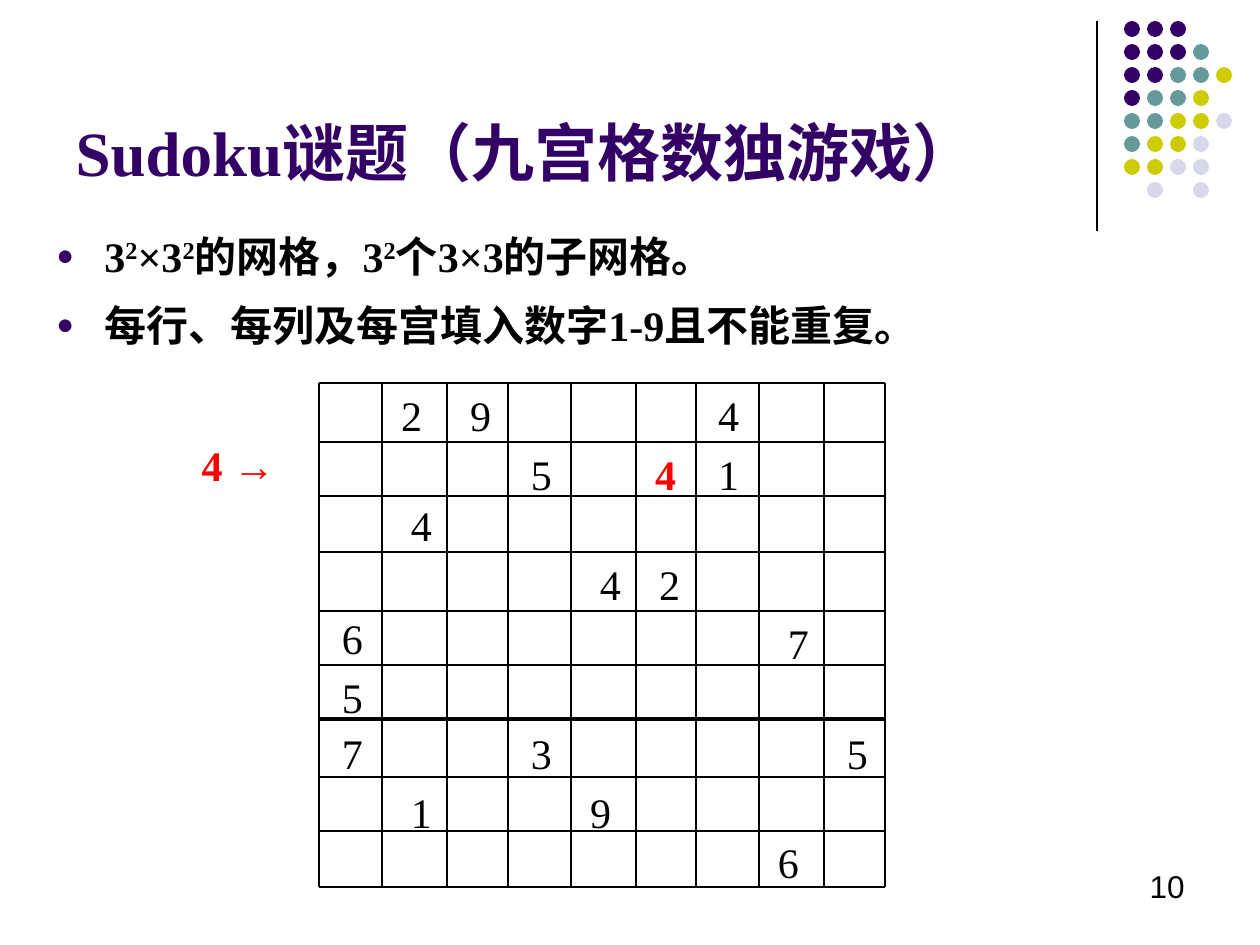
import dataclasses

import lxml.etree
import pptx
import pptx.dml.color
import pptx.enum.shapes
import pptx.enum.text
import pptx.oxml.ns
import pptx.util

EMU_PER_PX = 914400 / 126
ALIGN = pptx.enum.text.PP_ALIGN
SHAPE = pptx.enum.shapes.MSO_SHAPE


@dataclasses.dataclass(frozen=True)
class Theme:
    purple: str = "330066"
    teal: str = "669999"
    olive: str = "CCCC00"
    lilac: str = "D8D8EC"
    black: str = "000000"
    red: str = "FF0000"
    serif: str = "Times New Roman"
    sans: str = "Arial"
    title_size: int = 36
    body_size: int = 24
    page_size: int = 18
    thick: float = 1.5
    thin: float = 0.75


def px(n):
    return pptx.util.Emu(round(n * EMU_PER_PX))


def rgb(code):
    return pptx.dml.color.RGBColor.from_string(code)


def add_xml(parent, tag, **attrs):
    return lxml.etree.SubElement(parent, pptx.oxml.ns.qn(tag), **attrs)


class SlideBuilder:
    def __init__(self, slide, theme):
        self.slide = slide
        self.theme = theme

    def style_run(self, r, size, color, bold=False, font=None):
        r.font.size = pptx.util.Pt(size)
        r.font.color.rgb = rgb(color)
        r.font.bold = bold
        r.font.name = font or self.theme.serif

    def title(self, parts, left, top, width, height):
        sp = self.slide.shapes.title
        sp.left, sp.top, sp.width, sp.height = map(px, (left, top, width, height))
        tf = sp.text_frame
        tf.auto_size = pptx.enum.text.MSO_AUTO_SIZE.NONE
        tf.vertical_anchor = pptx.enum.text.MSO_ANCHOR.BOTTOM
        p = tf.paragraphs[0]
        p.alignment = ALIGN.LEFT
        for text, font in parts:
            r = p.add_run()
            r.text = text
            self.style_run(r, self.theme.title_size, self.theme.purple, True, font)

    def textbox(self, left, top, width, height):
        sp = self.slide.shapes.add_textbox(*map(px, (left, top, width, height)))
        sp.text_frame.word_wrap = True
        return sp.text_frame

    def bullets(self, items, left, top, width, height, indent):
        tf = self.textbox(left, top, width, height)
        for i, pieces in enumerate(items):
            p = tf.add_paragraph() if i else tf.paragraphs[0]
            p.line_spacing = 1.2
            p.space_before = pptx.util.Pt(5)
            pPr = p._p.get_or_add_pPr()
            pPr.set("marL", str(px(indent)))
            pPr.set("indent", str(-px(indent)))
            add_xml(add_xml(pPr, "a:buClr"), "a:srgbClr", val=self.theme.purple)
            add_xml(pPr, "a:buSzPct", val="70000")
            add_xml(pPr, "a:buFont", typeface=self.theme.sans)
            add_xml(pPr, "a:buChar", char="●")
            for j, text in enumerate(pieces):
                r = p.add_run()
                r.text = text
                self.style_run(r, self.theme.body_size, self.theme.black, True)
                if j % 2:
                    r._r.get_or_add_rPr().set("baseline", "30000")

    def page_number(self, text, left, top, width, height):
        p = self.textbox(left, top, width, height).paragraphs[0]
        p.text = text
        p.alignment = ALIGN.RIGHT
        self.style_run(p.runs[0], self.theme.page_size, self.theme.black,
                       font=self.theme.sans)

    def line(self, x1, y1, x2, y2, weight):
        cn = self.slide.shapes.add_connector(
            pptx.enum.shapes.MSO_CONNECTOR.STRAIGHT, *map(px, (x1, y1, x2, y2)))
        cn.line.color.rgb = rgb(self.theme.black)
        cn.line.width = pptx.util.Pt(weight)
        add_xml(cn._element.spPr, "a:effectLst")

    def dot(self, left, top, size, color):
        sp = self.slide.shapes.add_shape(SHAPE.OVAL, *map(px, (left, top, size, size)))
        sp.shadow.inherit = False
        sp.fill.solid()
        sp.fill.fore_color.rgb = rgb(color)
        sp.line.fill.background()

    def label(self, text, left, top, width=59, marked=False):
        sp = self.slide.shapes.add_shape(
            SHAPE.RECTANGULAR_CALLOUT, *map(px, (left, top, width, 59)))
        sp.shadow.inherit = False
        sp.fill.background()
        sp.line.fill.background()
        tf = sp.text_frame
        tf.word_wrap = False
        tf.vertical_anchor = pptx.enum.text.MSO_ANCHOR.TOP
        p = tf.paragraphs[0]
        p.text = text
        p.alignment = ALIGN.CENTER
        color = self.theme.red if marked else self.theme.black
        self.style_run(p.runs[0], self.theme.body_size, color, marked)

    def sudoku_box(self, left, top, right, bottom, close_right, close_bottom):
        thick, thin = self.theme.thick, self.theme.thin
        rows = [(0, thick), (59, thin), (113, thin)]
        cols = [(0, thick), (63, thin), (128, thin)]
        if close_bottom:
            rows.append((bottom - top, thick))
        if close_right:
            cols.append((right - left, thick))
        for dy, weight in rows:
            self.line(left, top + dy, right, top + dy, weight)
        for dx, weight in cols:
            self.line(left + dx, top, left + dx, bottom, weight)


DOT_ROWS = ["PPP", "PPPT", "PPTTO", "PTTO", "TTOOL", "TOOL", "OOLL", " L L"]
BOX_EDGES_X = [319, 508, 696, 885]
BOX_SPANS_Y = [(383, 552), (552, 720), (718, 887)]
GIVENS = [
    ("2", 382, 383), ("9", 451, 383), ("4", 699, 383),
    ("5", 512, 442), ("1", 699, 442),
    ("4", 392, 493),
    ("4", 581, 552), ("2", 640, 552),
    ("6", 323, 606), ("7", 769, 611),
    ("5", 323, 665),
    ("7", 323, 721), ("3", 512, 721), ("5", 828, 721),
    ("1", 392, 780), ("9", 571, 780),
    ("6", 759, 830),
]


def main():
    theme = Theme()
    prs = pptx.Presentation()
    prs.slide_width, prs.slide_height = px(1260), px(945)
    s = SlideBuilder(prs.slides.add_slide(prs.slide_layouts[5]), theme)

    s.line(1097, 21, 1097, 231, theme.thin)
    dot_colors = {"P": theme.purple, "T": theme.teal, "O": theme.olive, "L": theme.lilac}
    for row, codes in enumerate(DOT_ROWS):
        for col, code in enumerate(codes):
            if code in dot_colors:
                s.dot(1124 + 23 * col, 21 + 23 * row, 16, dot_colors[code])

    s.title([("Sudoku谜题（九宫格", theme.serif), ("数独游戏", theme.sans),
             ("）", theme.serif)], 63, 16, 1043, 179)
    s.bullets([["3", "2", "×3", "2", "的网格，3", "2", "个3×3的子网格。"],
               ["每行、每列及每宫填入数字1-9且不能重复。"]], 44, 214, 1160, 139, 48)

    for row, (top, bottom) in enumerate(BOX_SPANS_Y):
        for col, (left, right) in enumerate(zip(BOX_EDGES_X, BOX_EDGES_X[1:])):
            s.sudoku_box(left, top, right, bottom, col == 2, row > 0)

    for digit, left, top in GIVENS:
        s.label(digit, left, top)
    s.label("4 →", 164, 433, width=149, marked=True)
    s.label("4", 636, 442, marked=True)
    s.page_number("10", 903, 861, 294, 63)

    prs.save("out.pptx")


if __name__ == "__main__":
    main()
